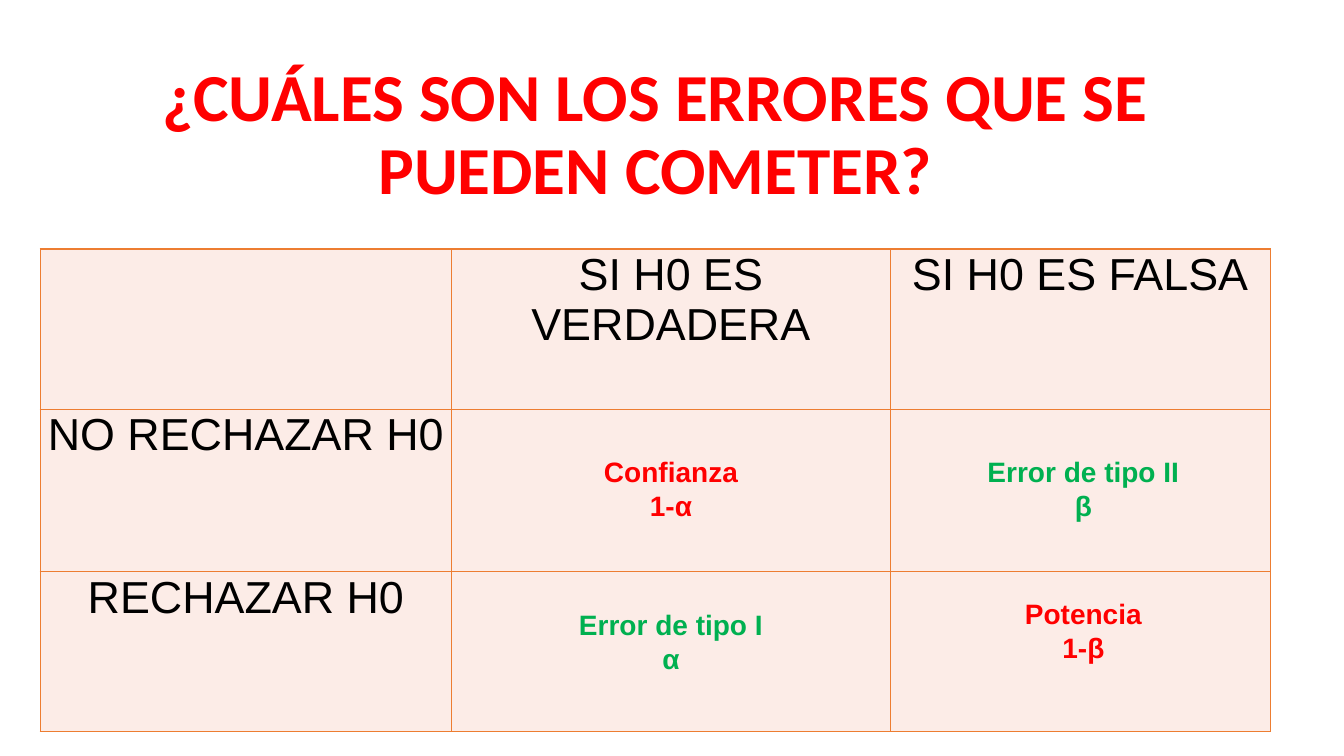
from lxml import etree
from pptx import Presentation
from pptx import util as u
from pptx.dml.color import RGBColor
from pptx.enum import text
from pptx.oxml import ns

COLORS = {
    "red": "FF0000",
    "green": "00B050",
    "black": "000000",
    "cell": "FCECE7",
    "border": "ED7D31",
}
COLUMN_WIDTHS = [4.08, 4.35, 3.77]
ROW_HEIGHTS = [1.59, 1.61, 1.59]
HEADINGS = [
    ["", "SI H0 ES VERDADERA", "SI H0 ES FALSA"],
    ["NO RECHAZAR H0", "", ""],
    ["RECHAZAR H0", "", ""],
]
OUTCOMES = [
    (9.49, 5.87, "Potencia", "1-β", "red"),
    (9.49, 4.46, "Error de tipo II", "β", "green"),
    (5.4, 5.98, "Error de tipo I", "α", "green"),
    (5.4, 4.46, "Confianza", "1-α", "red"),
]


def color(name):
    return RGBColor.from_string(COLORS[name])


def format_paragraph(paragraph, size, font_name, color_name, bold=False):
    paragraph.alignment = text.PP_ALIGN.CENTER
    font = paragraph.font
    font.size = u.Pt(size)
    font.name = font_name
    font.bold = bold
    font.color.rgb = color(color_name)


def set_title(slide, wording):
    title = slide.shapes.title
    title.left, title.top = u.Inches(0.75), u.Inches(0.55)
    title.width, title.height = u.Inches(11.5), u.Inches(1.6)
    frame = title.text_frame
    frame.word_wrap = True
    frame.auto_size = text.MSO_AUTO_SIZE.NONE
    frame.vertical_anchor = text.MSO_ANCHOR.MIDDLE
    frame.text = wording
    paragraph = frame.paragraphs[0]
    paragraph.line_spacing = 0.9
    format_paragraph(paragraph, 48, "Calibri", "red", True)


def add_borders(cell):
    properties = cell._tc.get_or_add_tcPr()
    for position, side in enumerate(("lnL", "lnR", "lnT", "lnB")):
        line = etree.Element(ns.qn(f"a:{side}"), w=str(u.Pt(1)))
        fill = etree.SubElement(line, ns.qn("a:solidFill"))
        etree.SubElement(fill, ns.qn("a:srgbClr"), val=COLORS["border"])
        properties.insert(position, line)


def format_cell(cell, wording):
    cell.fill.solid()
    cell.fill.fore_color.rgb = color("cell")
    cell.margin_left = cell.margin_right = cell.margin_top = u.Inches(0.01)
    cell.margin_bottom = 0
    add_borders(cell)
    if wording:
        cell.text = wording
        format_paragraph(cell.text_frame.paragraphs[0], 32, "Arial", "black")


def add_decision_table(slide):
    table = slide.shapes.add_table(
        len(ROW_HEIGHTS), len(COLUMN_WIDTHS), u.Inches(0.4), u.Inches(2.47),
        u.Inches(sum(COLUMN_WIDTHS)), u.Inches(sum(ROW_HEIGHTS))).table
    table.first_row = False
    table.horz_banding = False
    for column, width in zip(table.columns, COLUMN_WIDTHS):
        column.width = u.Inches(width)
    for row, height, wordings in zip(table.rows, ROW_HEIGHTS, HEADINGS):
        row.height = u.Inches(height)
        for cell, wording in zip(row.cells, wordings):
            format_cell(cell, wording)


def add_outcome(slide, left, top, name, symbol, color_name):
    box = slide.shapes.add_textbox(
        u.Inches(left), u.Inches(top), u.Inches(2.51), u.Inches(0.77))
    frame = box.text_frame
    frame.word_wrap = True
    frame.auto_size = text.MSO_AUTO_SIZE.SHAPE_TO_FIT_TEXT
    frame.text = f"{name}\n{symbol}"
    for paragraph in frame.paragraphs:
        format_paragraph(paragraph, 20, "Arial", color_name, True)


def main():
    presentation = Presentation()
    presentation.slide_width = u.Inches(13.33)
    presentation.slide_height = u.Inches(7.5)
    slide = presentation.slides.add_slide(presentation.slide_layouts[5])
    set_title(slide, "¿CUÁLES SON LOS ERRORES QUE SE PUEDEN COMETER?")
    add_decision_table(slide)
    for outcome in OUTCOMES:
        add_outcome(slide, *outcome)
    presentation.save("out.pptx")


if __name__ == "__main__":
    main()
